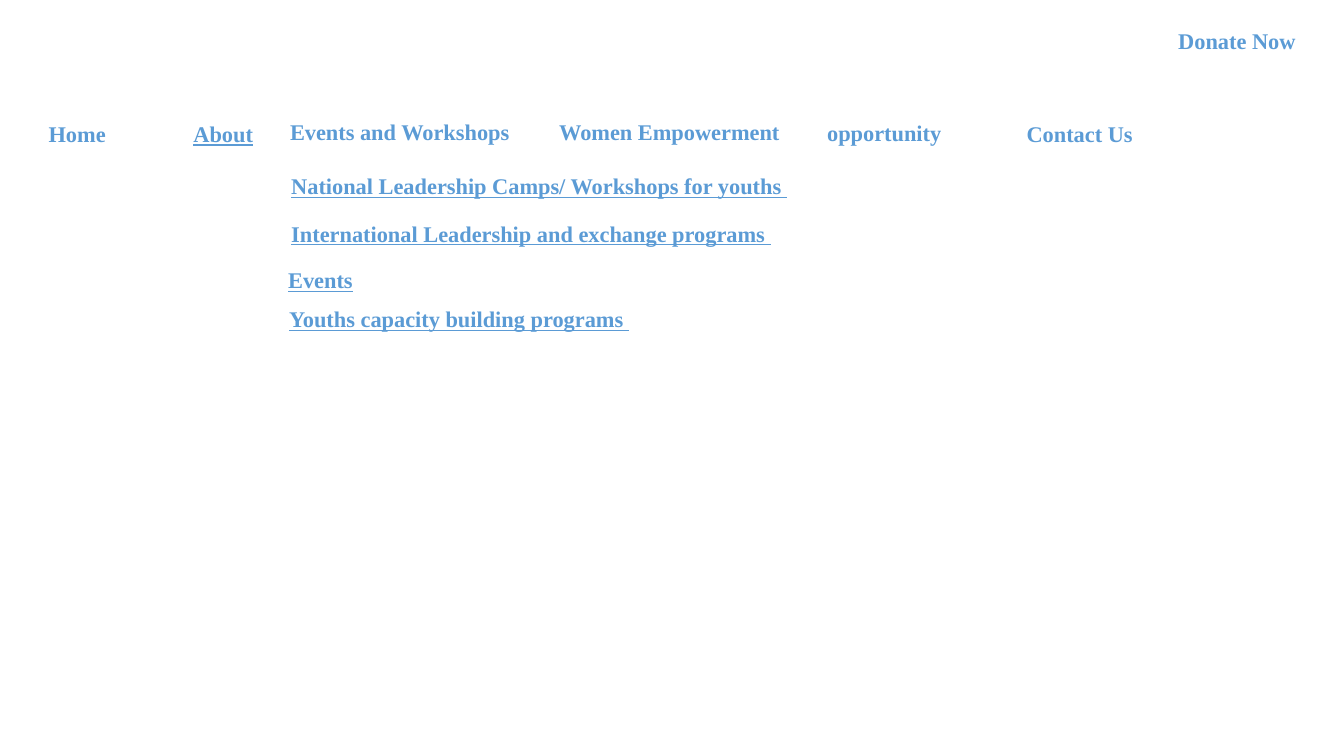
"""Build a website navigation slide with an open drop-down menu."""
from dataclasses import dataclass

from pptx import Presentation
from pptx.dml.color import RGBColor
from pptx.enum.shapes import MSO_SHAPE
from pptx.enum.text import MSO_ANCHOR, PP_ALIGN
from pptx.util import Inches, Pt

RECTANGLE = MSO_SHAPE.RECTANGLE
MIDDLE = MSO_ANCHOR.MIDDLE
LEFT, CENTER = PP_ALIGN.LEFT, PP_ALIGN.CENTER
BLANK_LAYOUT = 6


@dataclass(frozen=True)
class Theme:
    """Colours, type and item height (percent of slide height)."""
    background: RGBColor = RGBColor(0xFF, 0xFF, 0xFF)
    link: RGBColor = RGBColor(0x5B, 0x9B, 0xD5)
    font: str = "Times New Roman"
    size: int = Pt(16)
    item_height: float = 4.93


@dataclass(frozen=True)
class Box:
    """A region in percent of the slide's width and height."""
    left: float
    top: float
    width: float
    height: float

    def inner(self, left, top, width, height):
        """Return a box offset from this box's corner."""
        return Box(self.left + left, self.top + top, width, height)


THEME = Theme()
SLIDE_WIDTH, SLIDE_HEIGHT = Inches(13.33), Inches(7.5)
DONATE_BOX = Box(85.88, 2.93, 12.3, THEME.item_height)
NAVIGATION_BOX = Box(2.18, 14.93, 84.3, 5.2)
DROPDOWN_BOX = Box(20.7, 22.13, 39.16, 22.53)

NAVIGATION_ITEMS = (
    ("Home", 0, 0.27, 7.13, False),
    ("About", 10.87, 0.27, 7.13, True),
    ("Events and Workshops", 17.55, 0, 20.03, False),
    ("Women Empowerment", 36.75, 0, 21.75, False),
    ("opportunity ", 57.67, 0.14, 12.3, False),
    ("Contact Us", 72, 0.27, 12.3, False),
)
DROPDOWN_ITEMS = (
    ("National Leadership Camps/ Workshops for youths ", 0.23, 0),
    ("International Leadership and exchange programs ", 0.23, 6.27),
    ("Events", 0, 12.4),
    ("Youths capacity building programs ", 0.08, 17.6),
)


def apply_format(target, values):
    """Set each attribute named in values on the target."""
    for name, value in values.items():
        setattr(target, name, value)


def add_menu_item(slide, box, label, underline=False, alignment=CENTER):
    """Add one menu label on a plain rectangle filling the box."""
    shape = slide.shapes.add_shape(
        RECTANGLE,
        int(SLIDE_WIDTH * box.left / 100),
        int(SLIDE_HEIGHT * box.top / 100),
        int(SLIDE_WIDTH * box.width / 100),
        int(SLIDE_HEIGHT * box.height / 100),
    )
    shape.shadow.inherit = False
    shape.fill.solid()
    shape.fill.fore_color.rgb = THEME.background
    shape.line.fill.background()
    apply_format(shape.text_frame, {"word_wrap": True, "vertical_anchor": MIDDLE})
    paragraph = shape.text_frame.paragraphs[0]
    paragraph.alignment = alignment
    run = paragraph.add_run()
    run.text = label
    apply_format(run.font, {
        "name": THEME.font, "size": THEME.size, "bold": True, "underline": underline,
    })
    run.font.color.rgb = THEME.link


def add_navigation(slide, box):
    """Place the main navigation labels across the box."""
    for label, left, top, width, underline in NAVIGATION_ITEMS:
        item_box = box.inner(left, top, width, THEME.item_height)
        add_menu_item(slide, item_box, label, underline)


def add_dropdown(slide, box):
    """Place the underlined drop-down links down the box."""
    for label, left, top in DROPDOWN_ITEMS:
        item_box = box.inner(left, top, box.width - 0.23, THEME.item_height)
        add_menu_item(slide, item_box, label, True, LEFT)


def main():
    """Build and save the presentation."""
    presentation = Presentation()
    apply_format(presentation, {
        "slide_width": SLIDE_WIDTH, "slide_height": SLIDE_HEIGHT,
    })
    slide = presentation.slides.add_slide(presentation.slide_layouts[BLANK_LAYOUT])
    add_menu_item(slide, DONATE_BOX, "Donate Now")
    add_navigation(slide, NAVIGATION_BOX)
    add_dropdown(slide, DROPDOWN_BOX)
    presentation.save("out.pptx")


main()
